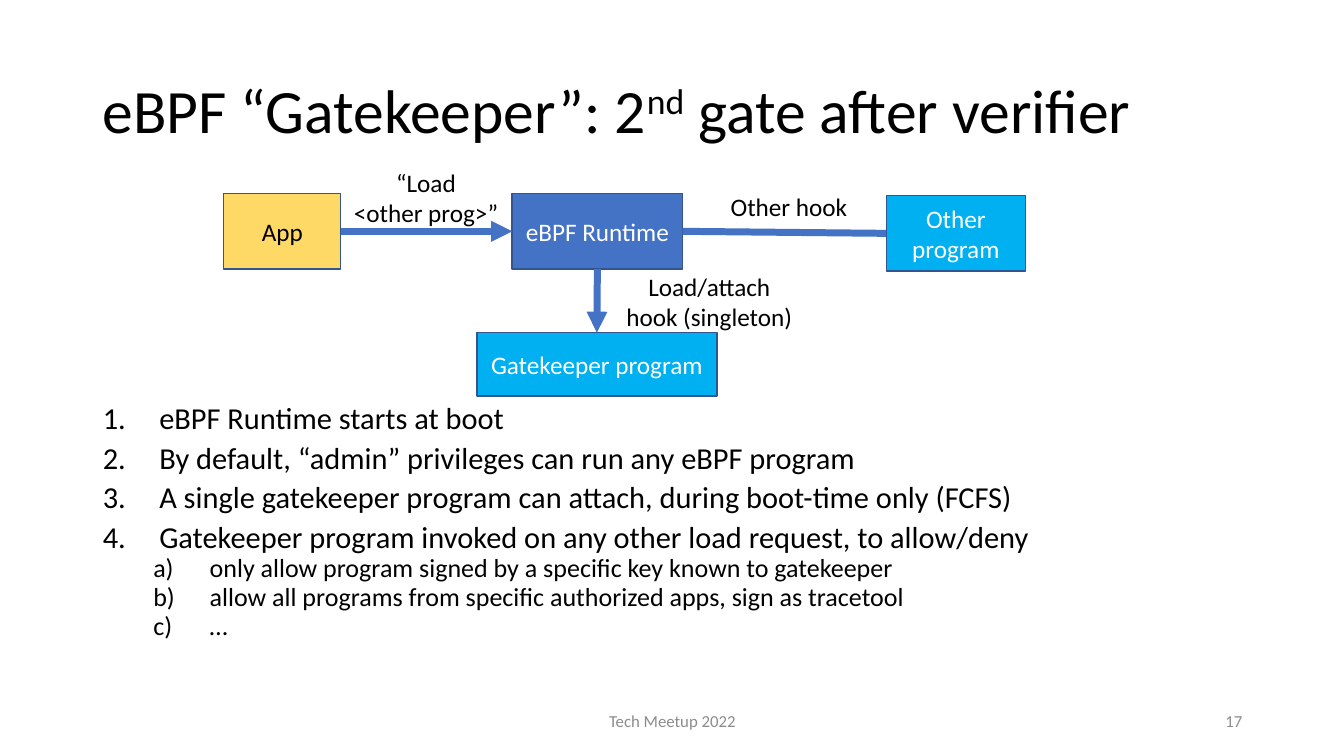
import pptx
import pptx.util
import pptx.dml.color
import pptx.enum.text
import pptx.enum.shapes
import pptx.oxml.ns
import lxml.etree
from dataclasses import dataclass

Inches = pptx.util.Inches
Pt = pptx.util.Pt
Align = pptx.enum.text.PP_ALIGN
Anchor = pptx.enum.text.MSO_ANCHOR
qn = pptx.oxml.ns.qn


@dataclass
class Theme:
    font: str = "Calibri"
    ink: str = "000000"
    white: str = "FFFFFF"
    gray: str = "8C8C8C"
    blue: str = "4472C4"
    sky: str = "00B0F0"
    gold: str = "FFD966"
    edge: str = "325491"
    head: float = 44
    item: float = 21.7
    sub: float = 18.6
    label: float = 18
    foot: float = 12


def rgb(code):
    return pptx.dml.color.RGBColor.from_string(code)


def write(para, text, font, size, color, align=Align.LEFT, space=None, before=0):
    """Fill a paragraph; \\v breaks a line, ^...^ raises the text."""
    para.alignment = align
    para.line_spacing = space
    para.space_before = Pt(before)
    for row, line in enumerate(text.split("\v")):
        if row:
            para.add_line_break()
        for part, piece in enumerate(line.split("^")):
            run = para.add_run()
            run.text = piece
            run.font.name, run.font.size = font, Pt(size)
            run.font.color.rgb = rgb(color)
            if part % 2:
                run._r.get_or_add_rPr().set("baseline", "30000")


class Deck:
    def __init__(self, theme):
        self.theme = theme
        self.show = pptx.Presentation()
        self.show.slide_width, self.show.slide_height = Inches(13.33), Inches(7.5)
        self.slide = self.show.slides.add_slide(self.show.slide_layouts[1])

    def place(self, holder, x, y, w, h, anchor):
        holder.left, holder.top = Inches(x), Inches(y)
        holder.width, holder.height = Inches(w), Inches(h)
        frame = holder.text_frame
        frame.word_wrap = True
        frame.auto_size = pptx.enum.text.MSO_AUTO_SIZE.NONE
        frame.vertical_anchor = anchor
        return frame

    def title(self, text, *box):
        frame = self.place(self.slide.shapes.title, *box, Anchor.MIDDLE)
        write(frame.paragraphs[0], text, self.theme.font, self.theme.head,
              self.theme.ink, space=0.9)

    def list(self, items, *box):
        frame = self.place(self.slide.placeholders[1], *box, Anchor.TOP)
        style = [(self.theme.item, 10, 0.56, "arabicPeriod"),
                 (self.theme.sub, 5, 1.06, "alphaLcParenR")]
        for spot, (level, text) in enumerate(items):
            para = frame.add_paragraph() if spot else frame.paragraphs[0]
            size, before, left, mark = style[level]
            para.level = level
            write(para, text, self.theme.font, size, self.theme.ink,
                  space=0.7, before=before)
            props = para._p.get_or_add_pPr()
            props.set("marL", str(Inches(left)))
            props.set("indent", str(Inches(-0.56)))
            lxml.etree.SubElement(props, qn("a:buFont"), typeface="+mj-lt")
            lxml.etree.SubElement(props, qn("a:buAutoNum"), type=mark)

    def box(self, text, x, y, w, h, fill, color):
        shape = self.slide.shapes.add_shape(
            pptx.enum.shapes.MSO_SHAPE.RECTANGLE,
            Inches(x), Inches(y), Inches(w), Inches(h))
        shape.shadow.inherit = False
        shape.fill.solid()
        shape.fill.fore_color.rgb = rgb(fill)
        shape.line.color.rgb = rgb(self.theme.edge)
        shape.line.width = Pt(1)
        frame = shape.text_frame
        frame.word_wrap = True
        frame.vertical_anchor = Anchor.MIDDLE
        write(frame.paragraphs[0], text, self.theme.font, self.theme.label,
              color, align=Align.CENTER)
        return shape

    def link(self, start, out, end, into, arrow=True):
        line = self.slide.shapes.add_connector(
            pptx.enum.shapes.MSO_CONNECTOR.STRAIGHT, 0, 0, 0, 0)
        line.begin_connect(start, out)
        line.end_connect(end, into)
        line.line.color.rgb = rgb(self.theme.blue)
        line.line.width = Pt(5)
        if arrow:
            lxml.etree.SubElement(line.line._get_or_add_ln(),
                                  qn("a:tailEnd"), type="triangle")
        lxml.etree.SubElement(line._element.spPr, qn("a:effectLst"))

    def label(self, text, x, y, w, h, size=None, color=None,
              align=Align.CENTER, anchor=Anchor.TOP, wrap=False):
        item = self.slide.shapes.add_textbox(
            Inches(x), Inches(y), Inches(w), Inches(h))
        frame = item.text_frame
        frame.word_wrap = wrap
        frame.vertical_anchor = anchor
        write(frame.paragraphs[0], text, self.theme.font,
              size or self.theme.label, color or self.theme.ink, align=align)


look = Theme()
deck = Deck(look)

# Title and numbered steps
deck.title("eBPF “Gatekeeper”: 2^nd^ gate after verifier", 0.92, 0.4, 11.5, 1.45)
deck.list([
    (0, "eBPF Runtime starts at boot"),
    (0, "By default, “admin” privileges can run any eBPF program"),
    (0, "A single gatekeeper program can attach, during boot-time only (FCFS)"),
    (0, "Gatekeeper program invoked on any other load request, to allow/deny"),
    (1, "only allow program signed by a specific key known to gatekeeper"),
    (1, "allow all programs from specific authorized apps, sign as tracetool"),
    (1, "…"),
], 0.92, 4.01, 11.5, 2.54)

# Diagram boxes
core = deck.box("eBPF Runtime", 5.08, 1.92, 1.69, 0.75, look.blue, look.white)
gate = deck.box("Gatekeeper program", 4.73, 3.3, 2.38, 0.63, look.sky, look.white)
other = deck.box("Other program", 8.79, 1.94, 1.38, 0.75, look.sky, look.white)
app = deck.box("App", 2.22, 1.92, 1.16, 0.75, look.gold, look.ink)

# Links: sides run 0 top, 1 left, 2 bottom, 3 right
deck.link(app, 3, core, 1)
deck.link(core, 2, gate, 0)
deck.link(core, 3, other, 1, arrow=False)

# Link labels
deck.label("“Load\v<other prog>”", 3.38, 1.61, 1.69, 0.71, wrap=True)
deck.label("Load/attach\vhook (singleton)", 6.1, 2.64, 1.87, 0.71)
deck.label("Other hook", 7.14, 1.85, 1.37, 0.4)

# Footer and page number
foot = dict(size=look.foot, color=look.gray, anchor=Anchor.MIDDLE, wrap=True)
deck.label("Tech Meetup 2022", 4.42, 6.95, 4.5, 0.4, **foot)
deck.label("17", 9.42, 6.95, 3, 0.4, align=Align.RIGHT, **foot)

deck.show.save("out.pptx")
